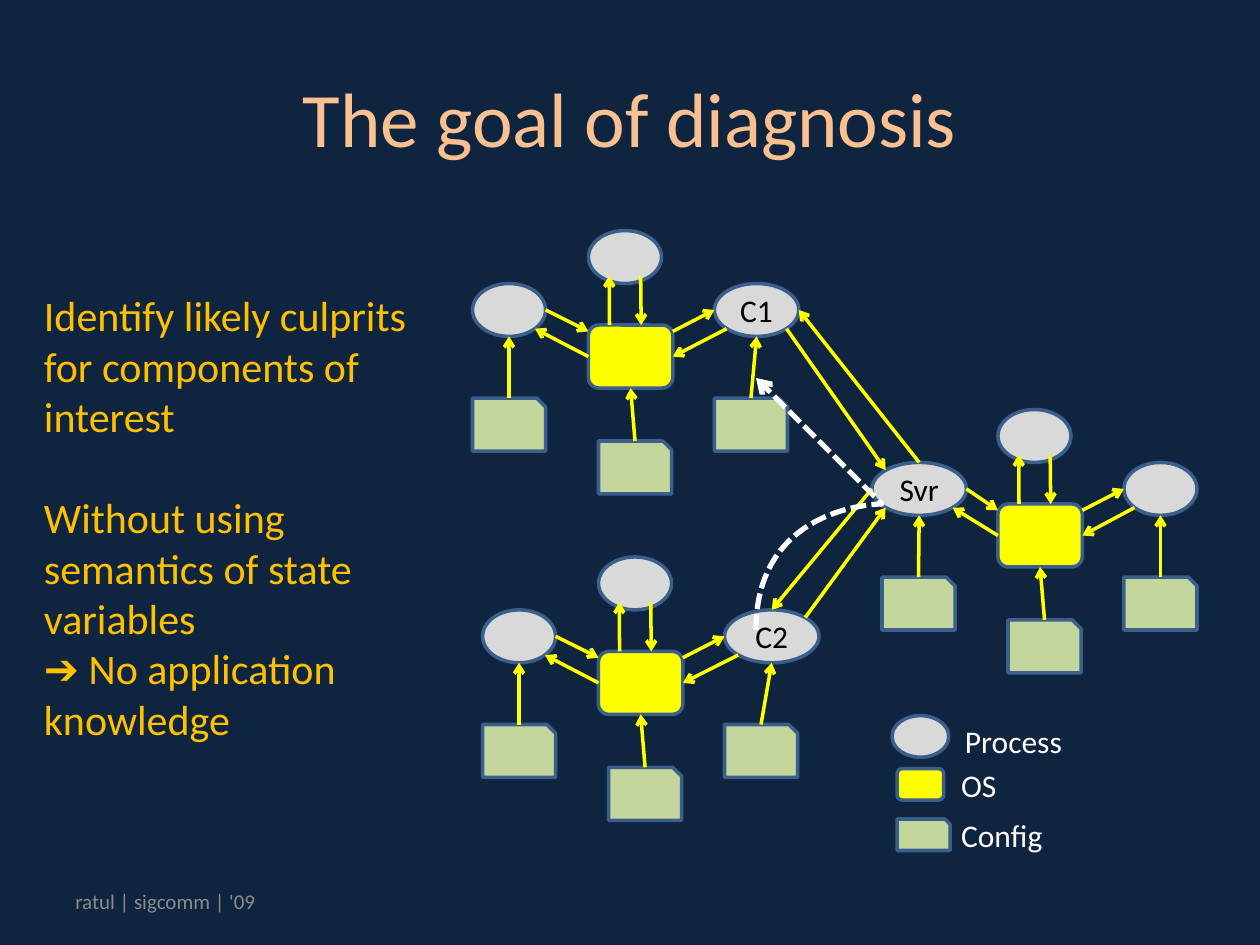
from lxml.etree import SubElement
from pptx import Presentation
from pptx.dml.color import RGBColor
from pptx.enum.dml import MSO_LINE
from pptx.enum.shapes import MSO_CONNECTOR, MSO_SHAPE
from pptx.enum.text import MSO_ANCHOR, PP_ALIGN
from pptx.oxml.ns import qn
from pptx.util import Inches, Pt

FONT = "Calibri"
OUTLINE = "3A5F8C"
YELLOW = "FFFF00"
WHITE = "FFFFFF"
FILLS = {
    MSO_SHAPE.OVAL: "D9D9D9",
    MSO_SHAPE.ROUNDED_RECTANGLE: YELLOW,
    MSO_SHAPE.SNIP_1_RECTANGLE: "C3D69B",
}
SITES = {(0, -1): 0, (-1, 0): 1, (0, 1): 2, (1, 0): 3}
DIAGONAL = 0.71


def color(hex_value):
    return RGBColor.from_string(hex_value)


def format_text(frame, size, hex_value, align=PP_ALIGN.LEFT):
    for paragraph in frame.paragraphs:
        paragraph.alignment = align
        for span in paragraph.runs:
            span.font.name = FONT
            span.font.size = Pt(size)
            span.font.color.rgb = color(hex_value)


def format_line(line, hex_value, width, arrow=False):
    line.color.rgb = color(hex_value)
    line.width = Pt(width)
    if arrow:
        properties = line._get_or_add_ln()
        SubElement(properties, qn("a:tailEnd"), type="arrow")


def add_text(shapes, text, left, top, width, height, size, hex_value, wrap=True):
    box = shapes.add_textbox(Inches(left), Inches(top), Inches(width), Inches(height))
    frame = box.text_frame
    frame.word_wrap = wrap
    frame.text = text
    format_text(frame, size, hex_value)
    return frame


def add_node(shapes, kind, left, top, width=0.58, height=0.42, label=""):
    node = shapes.add_shape(kind, Inches(left), Inches(top), Inches(width), Inches(height))
    node.shadow.inherit = False
    node.fill.solid()
    node.fill.fore_color.rgb = color(FILLS[kind])
    format_line(node.line, OUTLINE, 2)
    if label:
        frame = node.text_frame
        frame.word_wrap = False
        frame.vertical_anchor = MSO_ANCHOR.MIDDLE
        frame.text = label
        format_text(frame, 18, "000000", PP_ALIGN.CENTER)
    return node


def locate(node, across, down):
    """Point on a node; -1 to 1 runs from its left or top to its right or bottom."""
    return (int(node.left + node.width * (1 + across) / 2),
            int(node.top + node.height * (1 + down) / 2))


def joinable(node, position):
    """Ovals number their connection sites differently, apart from the top one."""
    is_oval = node.auto_shape_type == MSO_SHAPE.OVAL
    return position in SITES and (not is_oval or position == (0, -1))


def add_arrow(page, source, source_position, target, target_position):
    arrow = page.shapes.add_connector(
        MSO_CONNECTOR.STRAIGHT,
        *locate(source, *source_position), *locate(target, *target_position))
    format_line(arrow.line, YELLOW, 2, arrow=True)
    SubElement(arrow._element.spPr, qn("a:effectLst"))
    if joinable(source, source_position):
        arrow.begin_connect(source, SITES[source_position])
    if joinable(target, target_position):
        arrow.end_connect(target, SITES[target_position])


def add_machine(page, left, top, left_label="", left_width=0.58,
                right_label="", right_width=0.58):
    """Draw an OS at left, top with its processes and configs; return the outer processes."""
    shapes = page.shapes
    oval, config = MSO_SHAPE.OVAL, MSO_SHAPE.SNIP_1_RECTANGLE
    system = add_node(shapes, MSO_SHAPE.ROUNDED_RECTANGLE, left, top, 0.67, 0.5)
    left_start = left - (1 if left_label else 0.92)
    left_process = add_node(shapes, oval, left_start, top - 0.33, left_width, label=left_label)
    top_process = add_node(shapes, oval, left, top - 0.75)
    right_process = add_node(shapes, oval, left + 1, top - 0.33, right_width, label=right_label)
    system_config = add_node(shapes, config, left + 0.08, top + 0.92)
    right_config = add_node(shapes, config, left + 1, top + 0.58)
    left_config = add_node(shapes, config, left - 0.92, top + 0.58)

    for arrow in (
        (system, (1, -0.8), right_process, (-1, 0)),
        (right_process, (-DIAGONAL, DIAGONAL), system, (1, 0)),
        (system, (-0.5, -1), top_process, (-0.43, DIAGONAL)),
        (top_process, (0.43, DIAGONAL), system, (0.25, -1)),
        (left_process, (1, 0), system, (-1, -0.8)),
        (system, (-1, 0), left_process, (DIAGONAL, DIAGONAL)),
        (left_config, (0, -1), left_process, (0, 1)),
        (right_config, (0, -1), right_process, (0, 1)),
        (system_config, (0, -1), system, (0, 1)),
    ):
        add_arrow(page, *arrow)
    return left_process, right_process


def add_dashed_curve(page, start, controls):
    """Draw cubic curves; each takes three points from controls."""
    builder = page.shapes.build_freeform(*start, scale=Inches(1))
    builder.add_line_segments(controls, close=False)
    curve = builder.convert_to_shape()
    outline = curve._element.find(".//" + qn("a:path"))
    segments = outline.findall(qn("a:lnTo"))
    for first in range(0, len(segments), 3):
        bezier = SubElement(outline, qn("a:cubicBezTo"))
        for segment in segments[first:first + 3]:
            bezier.append(segment[0])
            outline.remove(segment)
    curve.shadow.inherit = False
    curve.fill.background()
    curve.line.dash_style = MSO_LINE.SQUARE_DOT
    format_line(curve.line, WHITE, 3, arrow=True)


def add_legend(page):
    shapes = page.shapes.add_group_shape().shapes
    add_node(shapes, MSO_SHAPE.OVAL, 7.08, 5.68, 0.45, 0.33)
    add_node(shapes, MSO_SHAPE.ROUNDED_RECTANGLE, 7.12, 6.1, 0.37, 0.25)
    add_node(shapes, MSO_SHAPE.SNIP_1_RECTANGLE, 7.12, 6.5, 0.42, 0.25)
    for text, left, top, width in (("Process", 7.56, 5.68, 0.98),
                                   ("OS", 7.53, 6.03, 0.48),
                                   ("Config", 7.53, 6.43, 0.86)):
        add_text(shapes, text, left, top, width, 0.4, 18, WHITE, wrap=False)


def add_title(page, text):
    title = page.shapes.title
    title.left, title.top = Inches(0.5), Inches(0.3)
    title.width, title.height = Inches(9), Inches(1.25)
    title.text_frame.text = text
    title.text_frame.vertical_anchor = MSO_ANCHOR.MIDDLE
    format_text(title.text_frame, 44, "FAC090", PP_ALIGN.CENTER)


def main():
    deck = Presentation()
    deck.slide_width, deck.slide_height = Inches(10), Inches(7.5)
    page = deck.slides.add_slide(deck.slide_layouts[5])
    page.background.fill.solid()
    page.background.fill.fore_color.rgb = color("0F243E")

    add_title(page, "The goal of diagnosis")
    footer = add_text(page.shapes, "ratul | sigcomm | '09", 0.5, 6.95, 3.08, 0.4, 12, "8C8C8C")
    footer.vertical_anchor = MSO_ANCHOR.MIDDLE

    server, _ = add_machine(page, 7.92, 4, left_label="Svr", left_width=0.75)
    _, client_1 = add_machine(page, 4.67, 2.58, right_label="C1", right_width=0.67)
    _, client_2 = add_machine(page, 4.75, 5.17, right_label="C2", right_width=0.75)
    add_arrow(page, server, (0, -1), client_1, (1, 0))
    add_arrow(page, client_1, (DIAGONAL, DIAGONAL), server, (-DIAGONAL, -DIAGONAL))
    add_arrow(page, server, (-1, 0), client_2, (0, -1))
    add_arrow(page, client_2, (DIAGONAL, -DIAGONAL), server, (-DIAGONAL, DIAGONAL))

    goals = add_text(
        page.shapes,
        "Identify likely culprits for components of interest\n"
        "Without using semantics of state variables\n"
        "➔ No application knowledge",
        0.25, 2.25, 3.42, 3.74, 24, "FFC000")
    goals.paragraphs[1].space_before = Pt(29)

    add_dashed_curve(page, (6, 4.65), [(6.34, 4.37), (6.67, 4.1), (6.71, 3.81),
                                       (6.75, 3.52), (6.23, 2.92), (6.23, 2.92)])
    add_legend(page)
    deck.save("out.pptx")


if __name__ == "__main__":
    main()
